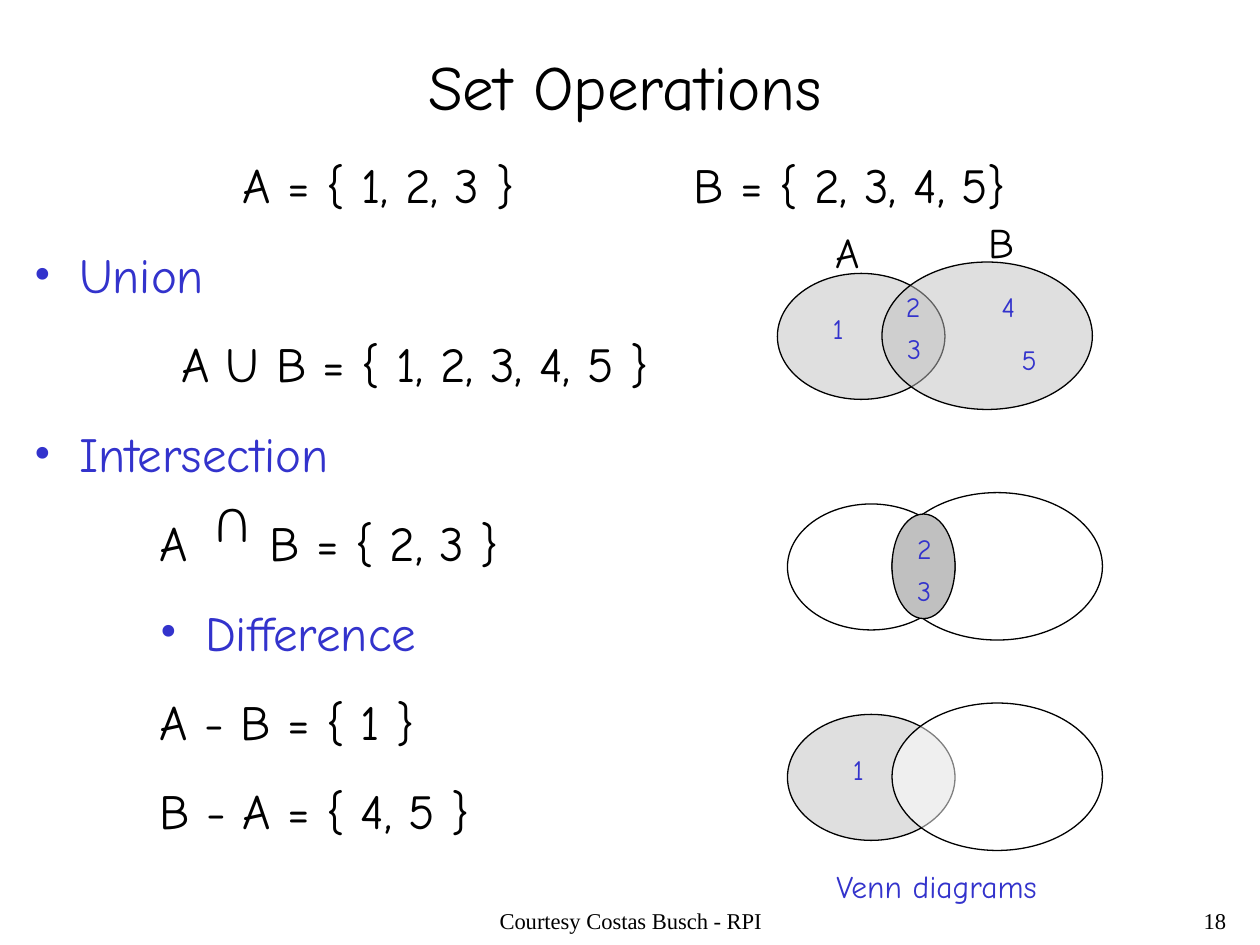
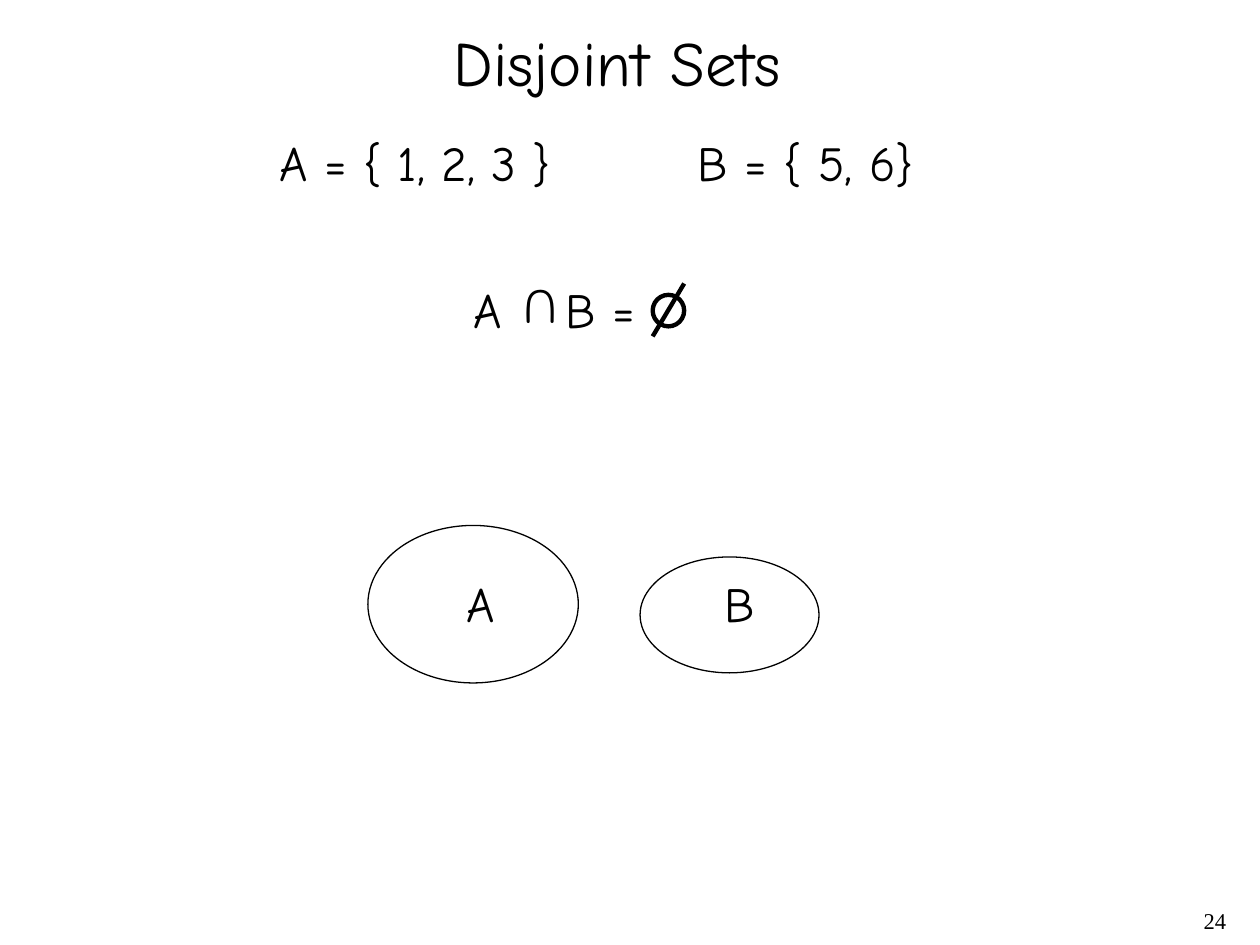
from lxml.etree import SubElement
from pptx import Presentation
from pptx.dml.color import RGBColor
from pptx.enum.shapes import MSO_CONNECTOR, MSO_SHAPE
from pptx.enum.text import MSO_ANCHOR, MSO_AUTO_SIZE, PP_ALIGN
from pptx.oxml.ns import qn
from pptx.util import Inches, Pt

COLORS = {"ink": "000000", "accent": "3333CC", "shade": "C0C0C0", "paper": "FFFFFF"}
HAND = "Comic Neue"
SERIF = "Times New Roman"


def write_line(para, text, size, color="ink", font=HAND, tabs=(), bullet=False):
    properties = para._p.get_or_add_pPr()
    if bullet:
        SubElement(properties, qn("a:buFont"), typeface=SERIF)
        SubElement(properties, qn("a:buChar"), char="•")
    if tabs:
        tab_list = SubElement(properties, qn("a:tabLst"))
        for stop in tabs:
            SubElement(tab_list, qn("a:tab"), pos=str(Inches(stop)), algn="l")
    span = para.add_run()
    span.text = text
    span.font.size = Pt(size)
    span.font.name = font
    span.font.color.rgb = RGBColor.from_string(COLORS[color])


def add_ellipse(page, left, top, width, height, fill=None, opacity=100, weight=0.75):
    ellipse = page.shapes.add_shape(
        MSO_SHAPE.OVAL, Inches(left), Inches(top), Inches(width), Inches(height))
    ellipse.shadow.inherit = False
    ellipse.line.color.rgb = RGBColor.from_string(COLORS["ink"])
    ellipse.line.width = Pt(weight)
    if fill is None:
        ellipse.fill.background()
        return
    ellipse.fill.solid()
    ellipse.fill.fore_color.rgb = RGBColor.from_string(COLORS[fill])
    if opacity < 100:
        color = ellipse._element.spPr.find(qn("a:solidFill")).find(qn("a:srgbClr"))
        SubElement(color, qn("a:alpha"), val=str(opacity * 1000))


deck = Presentation()
deck.slide_width = Inches(10)
deck.slide_height = Inches(7.5)

pages = []
for heading, left, top, width in [
    ("Set Operations", 0.17, 0.33, 9.58),
    ("Disjoint Sets", 3.3, 0.14, 3.2),
]:
    page = deck.slides.add_slide(deck.slide_layouts[5])
    title = page.shapes.title
    title.left, title.top = Inches(left), Inches(top)
    title.width, title.height = Inches(width), Inches(0.7)
    frame = title.text_frame
    frame.auto_size = MSO_AUTO_SIZE.NONE
    frame.vertical_anchor = MSO_ANCHOR.TOP
    frame.paragraphs[0].alignment = PP_ALIGN.CENTER
    write_line(frame.paragraphs[0], heading, 36)
    pages.append(page)
operations, disjoint = pages

for page, text, left, width, alignment in [
    (operations, "Courtesy Costas Busch - RPI", 3.42, 3.17, PP_ALIGN.CENTER),
    (operations, "18", 7.75, 2.08, PP_ALIGN.RIGHT),
    (disjoint, "24", 7.75, 2.08, PP_ALIGN.RIGHT),
]:
    footer = page.shapes.add_textbox(Inches(left), Inches(7.17), Inches(width), Inches(0.33))
    footer.text_frame.word_wrap = True
    para = footer.text_frame.paragraphs[0]
    para.alignment = alignment
    para.line_spacing = 0.9
    write_line(para, text, 12.9, font=SERIF)

body = operations.shapes.add_textbox(Inches(0.17), Inches(1.89), Inches(5.8), Inches(4.83))
body.text_frame.word_wrap = True
for index, (text, indent, bullet, gap) in enumerate([
    ("Union", 0, True, 0),
    ("A U B = { 1, 2, 3, 4, 5 }", 1.17, False, 17.5),
    ("Intersection", 0, True, 17.5),
    ("Difference", 1, True, 68.6),
    ("A - B = { 1 }", 1, False, 17.5),
    ("B - A = { 4, 5 }", 1, False, 17.5),
]):
    para = body.text_frame.add_paragraph() if index else body.text_frame.paragraphs[0]
    hanging = 0.36 if bullet else 0
    properties = para._p.get_or_add_pPr()
    properties.set("marL", str(Inches(indent + hanging)))
    properties.set("indent", str(-Inches(hanging)))
    if gap:
        para.space_before = Pt(gap)
    write_line(para, text, 28, "accent" if bullet else "ink", bullet=bullet)

for left, top, fill_a, fill_b in [
    (6.17, 2.17, "shade", "shade"),
    (6.25, 4, None, None),
    (6.25, 5.67, "shade", "paper"),
]:
    add_ellipse(operations, left, top, 1.33, 1, fill_a, 50)
    add_ellipse(operations, left + 0.83, top - 0.09, 1.67, 1.17, fill_b, 50)
add_ellipse(operations, 7.08, 4.08, 0.5, 0.83, "shade")

add_ellipse(disjoint, 5.18, 2.34, 0.25, 0.25, weight=2.5)
slash = disjoint.shapes.add_connector(
    MSO_CONNECTOR.STRAIGHT, Inches(5.43), Inches(2.25), Inches(5.18), Inches(2.67))
slash.line.color.rgb = RGBColor.from_string(COLORS["ink"])
slash.line.width = Pt(2.5)
SubElement(slash._element.spPr, qn("a:effectLst"))
add_ellipse(disjoint, 2.92, 4.17, 1.67, 1.25)
add_ellipse(disjoint, 5.08, 4.42, 1.42, 0.92)

element_labels = [
    (operations, text, left, top, 0.31, 0.37, 16, "accent", 0, ())
    for text, left, top in [
        ("2", 7.09, 2.25), ("3", 7.1, 2.58), ("1", 6.51, 2.42), ("4", 7.85, 2.25),
        ("5", 8.01, 2.67), ("2", 7.18, 4.17), ("3", 7.18, 4.5), ("1", 6.67, 5.92),
    ]
]
for page, text, left, top, width, height, size, color, rotation, tabs in element_labels + [
    (operations, "A = { 1, 2, 3 }\tB = { 2, 3, 4, 5}", 1.83, 1.18, 6.4, 0.57, 28, "ink", 0, (3.58,)),
    (operations, "A\tB = { 2, 3 }", 1.17, 4.02, 3.2, 0.57, 28, "ink", 0, (0.87,)),
    (operations, "U", 1.58, 3.91, 0.5, 0.57, 28, "ink", 180, ()),
    (operations, "A", 6.53, 1.75, 0.39, 0.5, 24, "ink", 0, ()),
    (operations, "B", 7.75, 1.67, 0.4, 0.5, 24, "ink", 0, ()),
    (operations, "Venn diagrams", 6.54, 6.83, 1.81, 0.4, 18, "accent", 0, ()),
    (disjoint, "A = { 1, 2, 3 }\tB = { 5, 6}", 2.12, 1, 5.36, 0.57, 28, "ink", 0, (3.32,)),
    (disjoint, "A\tB =", 3.66, 2.17, 1.88, 0.57, 28, "ink", 0, (0.73,)),
    (disjoint, "U", 4.02, 2.17, 0.5, 0.57, 28, "ink", 180, ()),
    (disjoint, "A", 3.6, 4.5, 0.42, 0.57, 28, "ink", 0, ()),
    (disjoint, "B", 5.65, 4.5, 0.44, 0.57, 28, "ink", 0, ()),
]:
    label = page.shapes.add_textbox(Inches(left), Inches(top), Inches(width), Inches(height))
    label.rotation = rotation
    label.text_frame.word_wrap = bool(tabs or rotation)
    write_line(label.text_frame.paragraphs[0], text, size, color, tabs=tabs)

deck.save("out.pptx")
